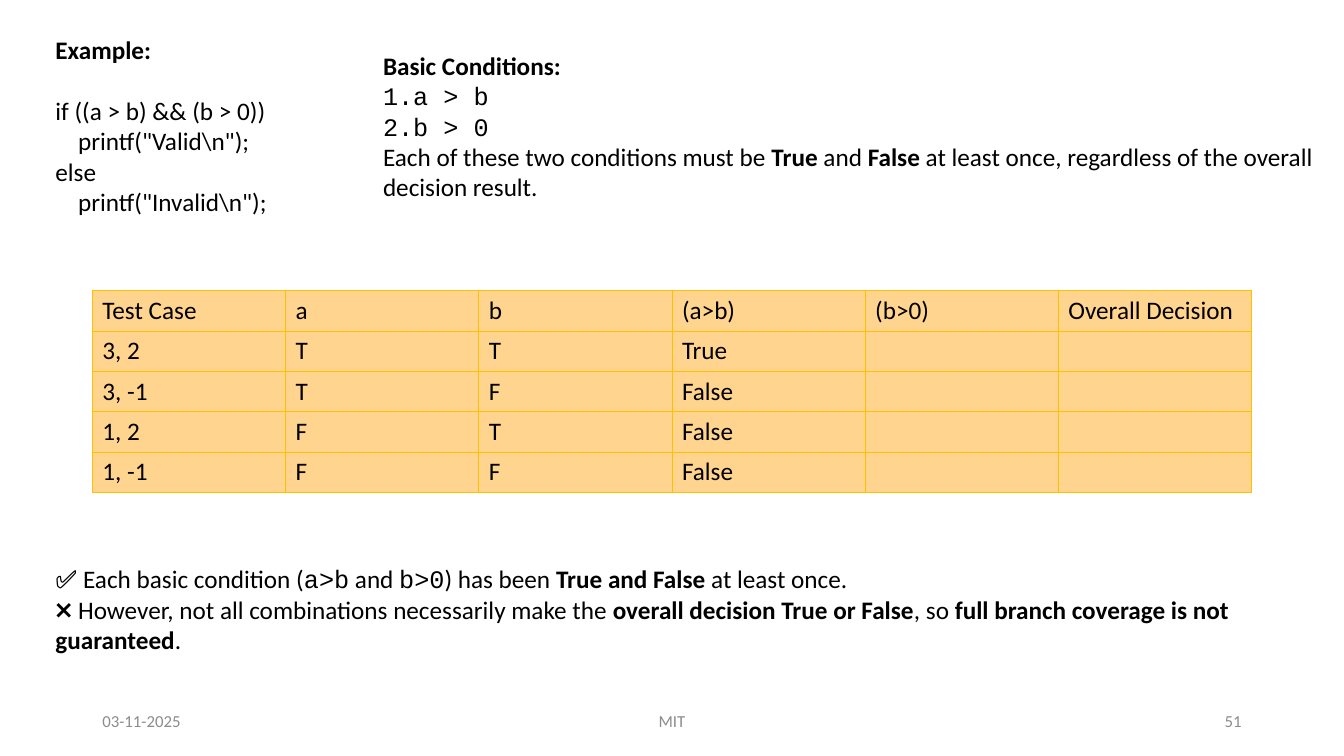
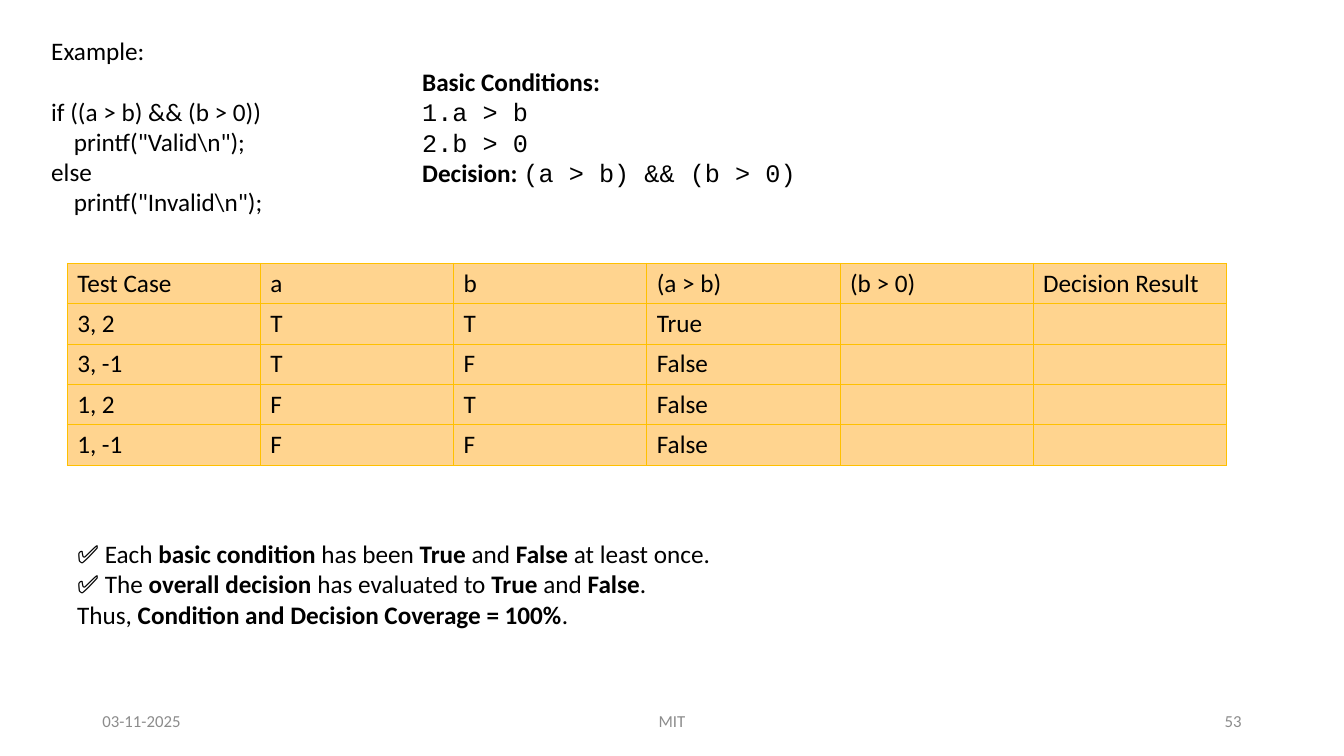
from lxml.etree import SubElement
from pptx import Presentation
from pptx.dml.color import RGBColor
from pptx.enum.text import MSO_ANCHOR as Anchor, PP_ALIGN as Align
from pptx.oxml import parse_xml
from pptx.oxml.ns import nsdecls, qn
from pptx.util import Pt

COLORS = {"text": "000000", "footer": "8C8C8C", "cell": "FFD48F", "border": "FFC000"}
BODY, MONO = "Calibri", "Courier New"
BLANK_LINE = 22


def bold(text):
    return text, BODY, True


def mono(text):
    return text, MONO, False


class Deck:
    def __init__(self):
        self.prs = Presentation()
        self.prs.slide_width, self.prs.slide_height = Pt(960), Pt(540)
        self.slide = None

    def new_slide(self, number):
        self.slide = self.prs.slides.add_slide(self.prs.slide_layouts[6])
        footer = (
            ("03-11-2025", 66, 216, Align.LEFT),
            ("MIT", 318, 324, Align.CENTER),
            (str(number), 678, 216, Align.RIGHT),
        )
        for label, left, width, align in footer:
            frame = self.frame(left, 500.5, width, 28.75)
            frame.vertical_anchor = Anchor.MIDDLE
            line = frame.paragraphs[0]
            line.alignment = align
            self.runs(line, [label], 12, "footer")

    def frame(self, left, top, width, height):
        frame = self.slide.shapes.add_textbox(
            Pt(left), Pt(top), Pt(width), Pt(height)).text_frame
        frame.word_wrap = True
        return frame

    def runs(self, line, parts, size=18, color="text"):
        for part in parts:
            text, font, strong = (part, BODY, False) if isinstance(part, str) else part
            run = line.add_run()
            run.text = text
            run.font.name, run.font.size, run.font.bold = font, Pt(size), strong
            run.font.color.rgb = RGBColor.from_string(COLORS[color])

    def text(self, left, top, width, height, lines):
        frame = self.frame(left, top, width, height)
        added = []
        for parts in lines:
            line = frame.add_paragraph() if added else frame.paragraphs[0]
            self.runs(line, parts)
            added.append(line)
        return added

    def code(self, left, top, heading):
        source = (
            "if ((a > b) && (b > 0))",
            '    printf("Valid\\n");',
            "else",
            '    printf("Invalid\\n");',
        )
        lines = self.text(left, top, 209, 138, [[heading]] + [[row] for row in source])
        lines[1].space_before = Pt(BLANK_LINE)

    def conditions(self, left, top, width, height, closing):
        lines = self.text(left, top, width, height, [
            [bold("Basic Conditions:")], [mono("a > b")], [mono("b > 0")], closing])
        for line in lines[1:3]:
            props = line._p.get_or_add_pPr()
            props.set("marL", "0")
            props.set("indent", "0")
            SubElement(props, qn("a:buFont"), typeface=MONO)
            SubElement(props, qn("a:buAutoNum"), type="arabicPeriod")

    def table(self, left, top, rows):
        columns = len(rows[0])
        table = self.slide.shapes.add_table(
            len(rows), columns, Pt(left), Pt(top), Pt(138 * columns), Pt(28.8 * len(rows))).table
        table.first_row = table.horz_banding = False
        for r, row in enumerate(rows):
            for c, value in enumerate(row):
                self.cell(table.cell(r, c), value)

    def cell(self, cell, value):
        cell.vertical_anchor = Anchor.MIDDLE
        cell.fill.solid()
        cell.fill.fore_color.rgb = RGBColor.from_string(COLORS["cell"])
        if value:
            self.runs(cell.text_frame.paragraphs[0], [value])
        props = cell._tc.get_or_add_tcPr()
        for index, side in enumerate(("lnL", "lnR", "lnT", "lnB")):
            props.insert(index, parse_xml(
                f'<a:{side} {nsdecls("a")} w="{Pt(0.5)}"><a:solidFill>'
                f'<a:srgbClr val="{COLORS["border"]}"/></a:solidFill></a:{side}>'))


CASES = [
    ("3, 2", "T", "T", "True", "", ""),
    ("3, -1", "T", "F", "False", "", ""),
    ("1, 2", "F", "T", "False", "", ""),
    ("1, -1", "F", "F", "False", "", ""),
]


def main():
    deck = Deck()

    deck.new_slide(51)
    deck.code(32.5, 21, bold("Example:"))
    deck.conditions(266.5, 32.5, 693.5, 117, [
        "Each of these two conditions must be ", bold("True"), " and ", bold("False"),
        " at least once, regardless of the overall decision result."])
    deck.table(66, 207.5, [("Test Case", "a", "b", "(a>b)", "(b>0)", "Overall Decision")] + CASES)
    deck.text(32.5, 399, 866, 73, [
        ["✅ Each basic condition (", mono("a>b"), " and ", mono("b>0"), ") has been ",
         bold("True and False"), " at least once."],
        ["❌ However, not all combinations necessarily make the ",
         bold("overall decision True or False"), ", so ",
         bold("full branch coverage is not guaranteed"), "."],
    ])

    deck.new_slide(53)
    deck.code(29.5, 21.5, "Example:")
    deck.conditions(294.5, 44, 480, 94, [bold("Decision: "), mono("(a > b) && (b > 0)")])
    deck.table(48, 188, [("Test Case", "a", "b", "(a > b)", "(b > 0)", "Decision Result")] + CASES)
    deck.text(48, 381, 863, 73, [
        ["✅ Each ", bold("basic condition"), " has been ", bold("True"), " and ",
         bold("False"), " at least once."],
        ["✅ The ", bold("overall decision"), " has evaluated to ", bold("True"), " and ",
         bold("False"), "."],
        ["Thus, ", bold("Condition and Decision Coverage = 100%"), "."],
    ])

    deck.prs.save("out.pptx")


if __name__ == "__main__":
    main()
